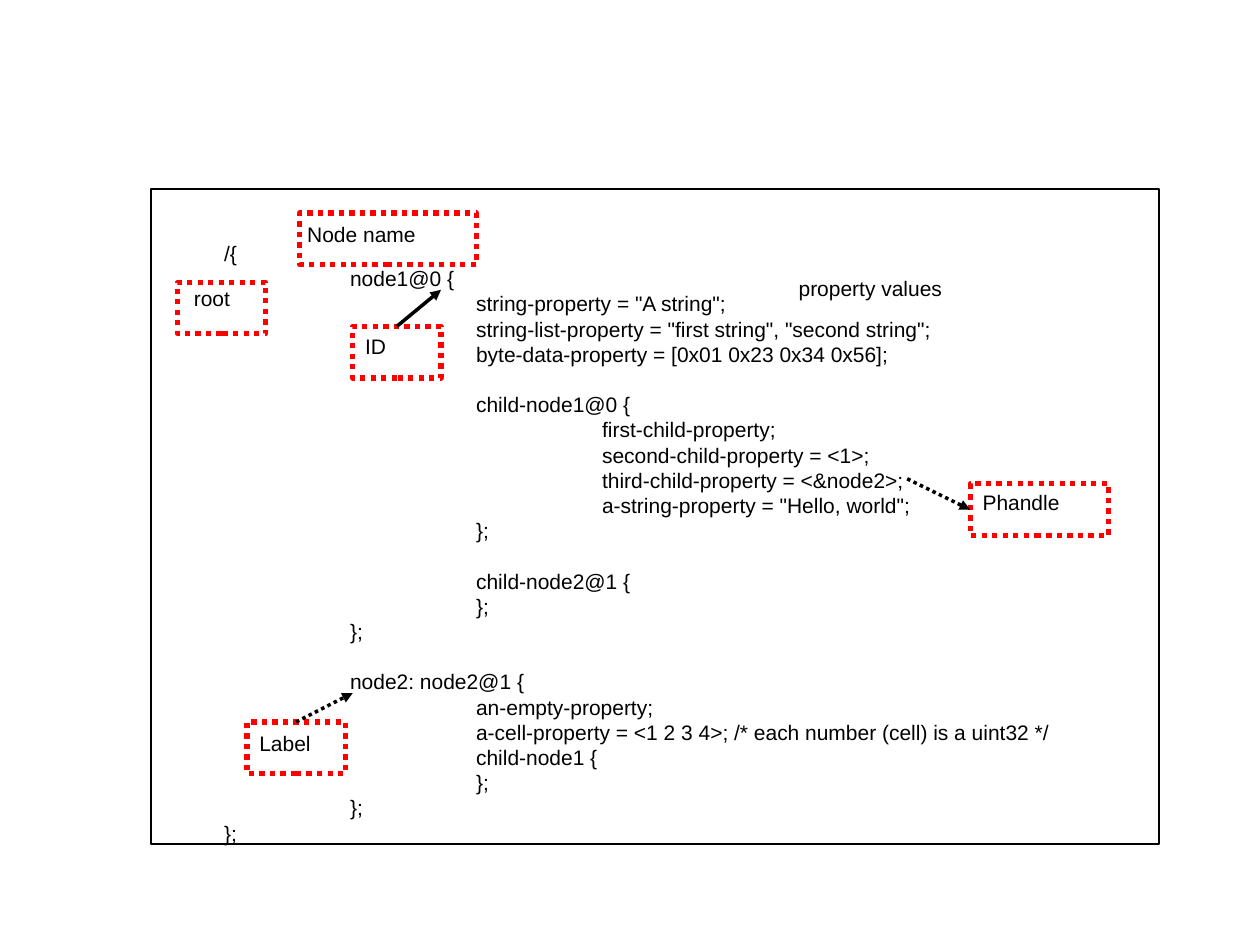
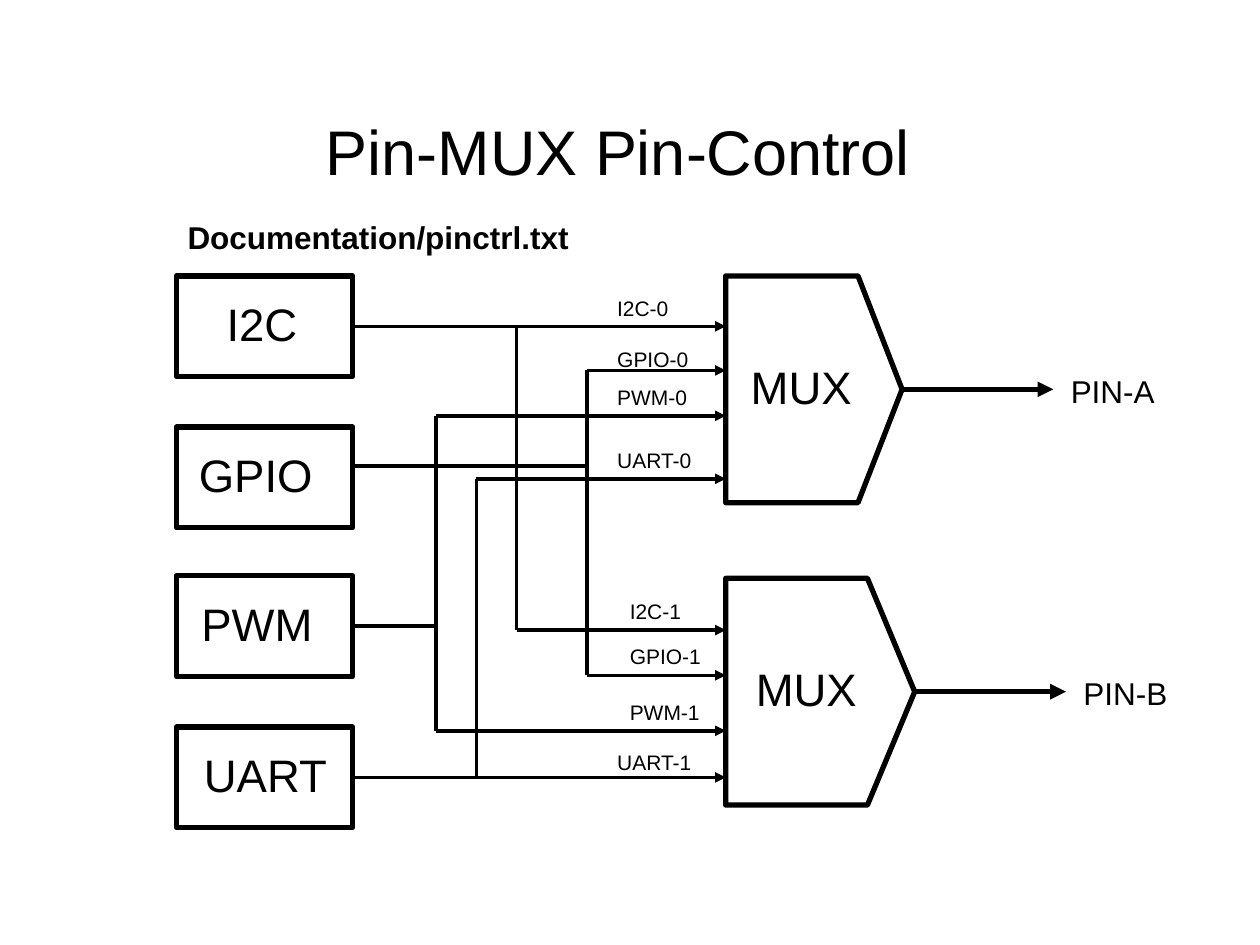
from dataclasses import dataclass
from typing import NamedTuple, Optional

from pptx import Presentation
from pptx.dml.color import RGBColor
from pptx.enum.dml import MSO_LINE
from pptx.enum.shapes import MSO_CONNECTOR, MSO_SHAPE
from pptx.enum.text import MSO_ANCHOR, PP_ALIGN
from pptx.oxml.ns import qn
from pptx.util import Inches, Pt

RECT = MSO_SHAPE.RECTANGLE
STRAIGHT = MSO_CONNECTOR.STRAIGHT
DOTS = MSO_LINE.ROUND_DOT
CENTER, MIDDLE = PP_ALIGN.CENTER, MSO_ANCHOR.MIDDLE
TOP, LEFT, RIGHT = 0, 1, 3


@dataclass(frozen=True)
class Theme:
    font: str = "Arial"
    ink: RGBColor = RGBColor(0, 0, 0)
    mark: RGBColor = RGBColor(255, 0, 0)
    title: float = 36
    block: float = 26
    head: float = 18
    small: float = 12
    pitch: float = 14.4
    hair: float = 0
    frame: float = 1.5
    bold: float = 3


THEME = Theme()


class Box(NamedTuple):
    x: float
    y: float
    w: float
    h: float

    def emu(self) -> list:
        return [Inches(v) for v in self]


class Point(NamedTuple):
    x: float
    y: float


class Note(NamedTuple):
    """A word and the dotted box around it, if it has one."""
    word: str
    text: Box
    ring: Optional[Box] = None


class Pointer(NamedTuple):
    word: str
    side: int
    far: Point
    dotted: bool
    inward: bool


class Source(NamedTuple):
    """A peripheral and the wires that leave its right side."""
    name: str
    top: float
    text: Box
    wire: float
    joint: float
    outs: tuple
    middle: bool = True


class Mux(NamedTuple):
    top: float
    width: float
    text: Box
    pin: str
    pin_at: Point


class Tag(NamedTuple):
    name: str
    x: float
    y: float
    w: float


CODE = [
    (0, "/{"),
    (1, "node1@0 {"),
    (2, 'string-property = "A string";'),
    (2, 'string-list-property = "first string", "second string";'),
    (2, "byte-data-property = [0x01 0x23 0x34 0x56];"),
    None,
    (2, "child-node1@0 {"),
    (3, "first-child-property;"),
    (3, "second-child-property = <1>;"),
    (3, "third-child-property = <&node2>;"),
    (3, 'a-string-property = "Hello, world";'),
    (2, "};"),
    None,
    (2, "child-node2@1 {"),
    (2, "};"),
    (1, "};"),
    None,
    (1, "node2: node2@1 {"),
    (2, "an-empty-property;"),
    (2, "a-cell-property = <1 2 3 4>; /* each number (cell) is a uint32 */"),
    (2, "child-node1 {"),
    (2, "};"),
    (1, "};"),
    (0, "};"),
]

NOTES = [
    Note("root", Box(1.44, 2.22, 0.7, 0.4), Box(1.41, 2.24, 0.7, 0.41)),
    Note("Node name", Box(2.34, 1.71, 1.56, 0.4), Box(2.38, 1.69, 1.4, 0.41)),
    Note("property values", Box(6.24, 2.14, 1.9, 0.4)),
    Note("Phandle", Box(7.7, 3.84, 1.2, 0.4), Box(7.7, 3.84, 1.1, 0.41)),
    Note("Label", Box(1.96, 5.75, 0.9, 0.4), Box(1.96, 5.73, 0.78, 0.41)),
    Note("ID", Box(2.8, 2.6, 0.7, 0.4), Box(2.8, 2.59, 0.7, 0.41)),
]

POINTERS = [
    Pointer("Phandle", LEFT, Point(7.2, 3.8), True, True),
    Pointer("Label", TOP, Point(2.8, 5.5), True, False),
    Pointer("ID", TOP, Point(3.5, 2.3), False, False),
]

SOURCES = [
    Source("I2C", 2.19, Box(1.7, 2.3, 0.9, 0.6), 2.59, 4.1, (2.59, 5)),
    Source("GPIO", 3.39, Box(1.48, 3.5, 1.2, 0.6), 3.7, 4.66, (2.94, 5.36), False),
    Source("PWM", 4.57, Box(1.5, 4.68, 1.2, 0.6), 4.97, 3.46, (3.3, 5.8)),
    Source("UART", 5.77, Box(1.52, 5.88, 1.2, 0.6), 6.17, 3.78, (3.8, 6.17)),
]
SOURCE_X, SOURCE_W, SOURCE_H = 1.4, 1.4, 0.8

MUXES = [
    Mux(2.19, 1.4, Box(5.86, 2.8, 1.1, 0.6), "PIN-A", Point(8.4, 2.9)),
    Mux(4.59, 1.5, Box(5.9, 5.2, 1.1, 0.6), "PIN-B", Point(8.5, 5.3)),
]
MUX_X, MUX_H, PIN_RUN = 5.76, 1.8, 1.2

TAGS = [
    Tag("I2C-0", 4.8, 2.3, 0.7), Tag("I2C-1", 4.9, 4.7, 0.7),
    Tag("GPIO-0", 4.8, 2.7, 0.92), Tag("GPIO-1", 4.9, 5.06, 0.92),
    Tag("PWM-0", 4.8, 3, 0.8), Tag("PWM-1", 4.9, 5.5, 0.8),
    Tag("UART-0", 4.8, 3.5, 0.8), Tag("UART-1", 4.8, 5.9, 0.8),
]


def set_font(run, size: float, bold: bool = False) -> None:
    look = {"name": THEME.font, "size": Pt(size), "bold": bold}
    for key, value in look.items():
        setattr(run.font, key, value)
    run.font.color.rgb = THEME.ink


def add_frame(slide, box: Box):
    frame = slide.shapes.add_textbox(*box.emu()).text_frame
    frame.word_wrap = True
    return frame


def add_text(slide, box: Box, text: str, size: float, bold: bool = False):
    frame = add_frame(slide, box)
    run = frame.paragraphs[0].add_run()
    run.text = text
    set_font(run, size, bold)
    return frame


def add_title(slide, text: str) -> None:
    frame = add_text(slide, Box(0.71, 0.68, 8.39, 1.02), text, THEME.title)
    for side in ("left", "right", "top", "bottom"):
        setattr(frame, f"margin_{side}", 0)
    frame.vertical_anchor = MIDDLE
    frame.paragraphs[0].alignment = CENTER


def set_line(shape, width: float, color: RGBColor, dotted: bool) -> None:
    shape.line.color.rgb = color
    shape.line.width = Pt(width)
    if dotted:
        shape.line.dash_style = DOTS


def outline(shape, width: float, color: RGBColor = THEME.ink, dotted: bool = False):
    shape.shadow.inherit = False
    shape.fill.background()
    set_line(shape, width, color, dotted)
    return shape


def add_rect(slide, box: Box, *look):
    return outline(slide.shapes.add_shape(RECT, *box.emu()), *look)


def add_line(slide, start: Point, end: Point, width: float = THEME.hair,
             arrow: bool = False, dotted: bool = False):
    ends = [Inches(v) for v in (*start, *end)]
    line = slide.shapes.add_connector(STRAIGHT, *ends)
    set_line(line, width, THEME.ink, dotted)
    props = line._element.spPr
    if arrow:
        ln = props.find(qn("a:ln"))
        ln.append(ln.makeelement(qn("a:tailEnd"), {"type": "triangle"}))
    props.append(props.makeelement(qn("a:effectLst"), {}))
    return line


def add_code(slide) -> None:
    """Writes the listing, one inch of indent for each depth."""
    frame = add_frame(slide, Box(1.68, 1.86, 9.02, 5.69))
    para, gap = frame.paragraphs[0], 0
    for index, row in enumerate(CODE):
        if row is None:
            gap = THEME.pitch
            continue
        if index:
            para = frame.add_paragraph()
        depth, text = row
        para._p.get_or_add_pPr().set("marL", str(Inches(depth)))
        para.line_spacing = Pt(THEME.pitch)
        para.space_before = Pt(gap)
        gap = 0
        run = para.add_run()
        run.text = text
        set_font(run, THEME.small)


def draw_tree(slide) -> None:
    add_code(slide)
    add_rect(slide, Box(1.2, 1.5, 8, 5.2), THEME.frame)
    rings = {}
    for note in NOTES:
        add_text(slide, note.text, note.word, THEME.small)
        if note.ring:
            rings[note.word] = add_rect(slide, note.ring, THEME.bold, THEME.mark, True)
    for item in POINTERS:
        line = add_line(slide, item.far, item.far, arrow=True, dotted=item.dotted)
        join = line.end_connect if item.inward else line.begin_connect
        join(rings[item.word], item.side)


def add_source(slide, src: Source) -> None:
    box = add_rect(slide, Box(SOURCE_X, src.top, SOURCE_W, SOURCE_H), THEME.bold)
    add_text(slide, src.text, src.name, THEME.block)
    through = src.wire in src.outs
    wire = add_line(slide, Point(SOURCE_X + SOURCE_W, src.wire),
                    Point(MUX_X if through else src.joint, src.wire), arrow=through)
    if src.middle:
        wire.begin_connect(box, RIGHT)
    for y in src.outs:
        if y != src.wire:
            bend = Point(src.joint, y)
            add_line(slide, Point(src.joint, src.wire), bend)
            add_line(slide, bend, Point(MUX_X, y), arrow=True)


def add_mux(slide, mux: Mux) -> None:
    neck, tip = MUX_X + 0.75 * mux.width, MUX_X + mux.width
    mid, base = mux.top + MUX_H / 2, mux.top + MUX_H
    edge = [(neck, mux.top), (tip, mid), (neck, base), (MUX_X, base)]
    pen = slide.shapes.build_freeform(Inches(MUX_X), Inches(mux.top))
    pen.add_line_segments([(Inches(x), Inches(y)) for x, y in edge], close=True)
    outline(pen.convert_to_shape(), THEME.bold)
    add_text(slide, mux.text, "MUX", THEME.block)
    add_line(slide, Point(tip, mid), Point(tip + PIN_RUN, mid), THEME.bold, arrow=True)
    add_text(slide, Box(*mux.pin_at, 1, 0.4), mux.pin, THEME.head)


def draw_pins(slide) -> None:
    add_title(slide, "Pin-MUX Pin-Control")
    add_text(slide, Box(1.39, 1.68, 3.64, 0.4), "Documentation/pinctrl.txt",
             THEME.head, True)
    for mux in MUXES:
        add_mux(slide, mux)
    for src in SOURCES:
        add_source(slide, src)
    for tag in TAGS:
        add_text(slide, Box(tag.x, tag.y, tag.w, 0.3), tag.name, THEME.small)


def main() -> None:
    deck = Presentation()
    deck.slide_width, deck.slide_height = Inches(10), Inches(7.5)
    for draw in (draw_tree, draw_pins):
        draw(deck.slides.add_slide(deck.slide_layouts[6]))
    deck.save("out.pptx")


if __name__ == "__main__":
    main()
